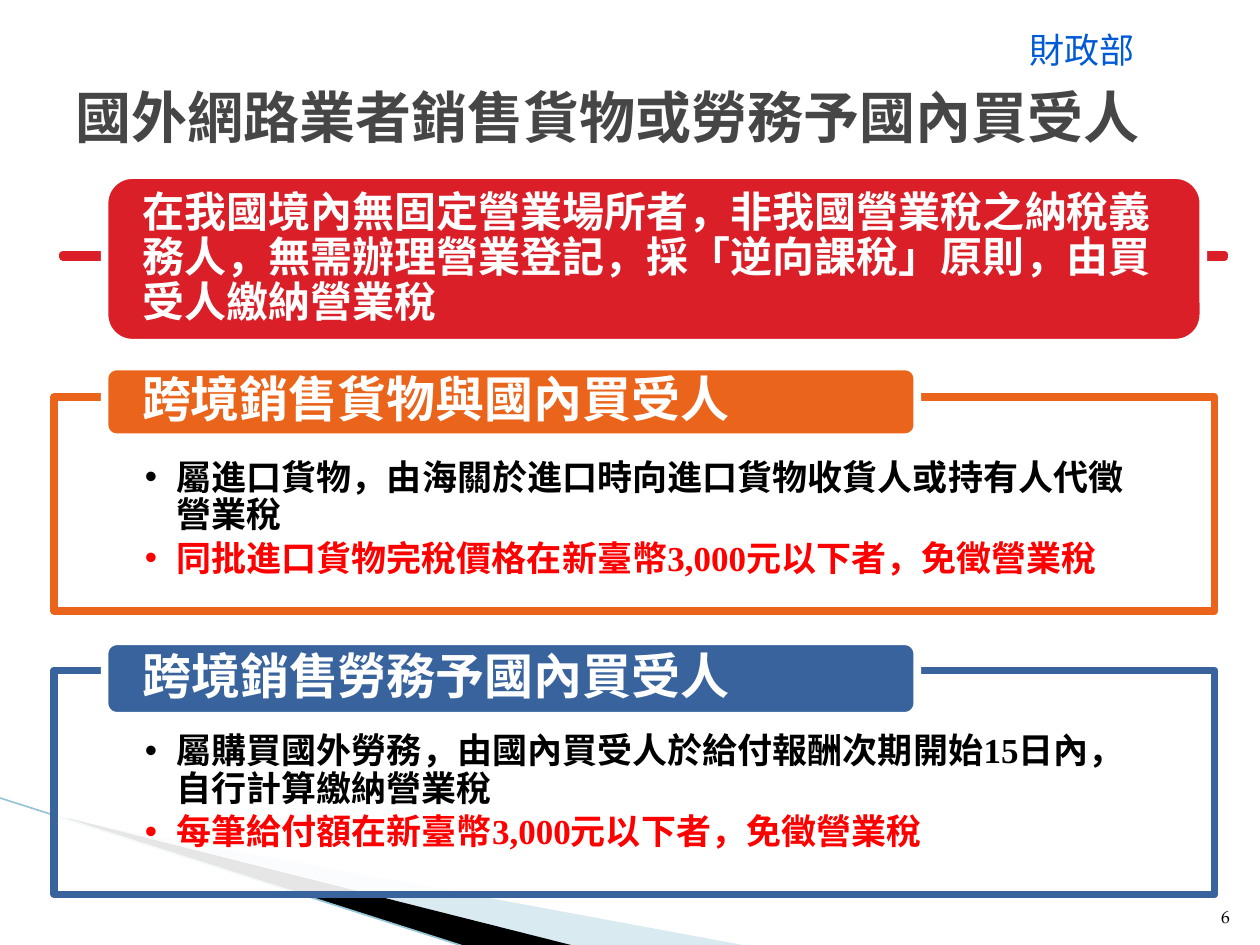
from dataclasses import dataclass
from typing import Any, NamedTuple

import pptx
import pptx.dml.color
import pptx.enum.shapes
import pptx.enum.text
import pptx.oxml.ns
import pptx.util
from lxml import etree

Align = pptx.enum.text.PP_ALIGN
Anchor = pptx.enum.text.MSO_ANCHOR
Preset = pptx.enum.shapes.MSO_SHAPE


@dataclass(frozen=True)
class Theme:
    face: str = "TeX Gyre Pagella"
    numeral_face: str = "Times New Roman"
    white: str = "FFFFFF"
    black: str = "000000"
    title_grey: str = "464646"
    ministry_blue: str = "005AD6"
    red: str = "DA1F28"
    alert: str = "FF0000"
    orange: str = "EB641B"
    blue: str = "39639D"
    pale_wedge: str = "A0CBDC"
    wedge_edge: str = "97C5D8"
    title_size: int = 32
    heading_size: int = 28
    banner_size: int = 24
    body_size: int = 20
    number_size: int = 10
    border: float = 4.33
    hairline: float = 0.95


THEME = Theme()


class Area(NamedTuple):
    """A rectangle on a grid of 100 columns by 75 rows."""
    column: float
    row: float
    columns: float
    rows: float


class Span(NamedTuple):
    text: str
    face: str = THEME.face


class Item(NamedTuple):
    spans: list[Span]
    color: str = THEME.black


class Section(NamedTuple):
    heading: str
    color: str
    frame: Area
    tab: Area
    items: list[Item]


SECTIONS = [
    Section("跨境銷售貨物與國內買受人", THEME.orange,
            Area(4.3, 31.5, 92.1, 17), Area(8.3, 29.1, 64.5, 5.6), [
                Item([Span("屬進口貨物，由海關於進口時向進口貨物收貨人或持有人代徵營業稅")]),
                Item([Span("同批進口貨物完稅價格在新臺幣3,000元以下者，免徵營業稅",
                           THEME.numeral_face)], THEME.alert)]),
    Section("跨境銷售勞務予國內買受人", THEME.blue,
            Area(4.3, 53.2, 92.1, 17.8), Area(8.3, 50.9, 64.5, 5.9), [
                Item([Span("屬購買國外勞務，由國內買受人於給付報酬次期開始"),
                      Span("15", THEME.numeral_face), Span("日內，自行計算繳納營業稅")]),
                Item([Span("每筆給付額在新臺幣3,000元以下者，免徵營業稅",
                           THEME.numeral_face)], THEME.alert)]),
]

deck = pptx.Presentation()
deck.slide_width, deck.slide_height = pptx.util.Inches(10), pptx.util.Inches(7.5)
COLUMN, ROW = deck.slide_width / 100, deck.slide_height / 75


def place(area: Area) -> list[int]:
    return [round(length * unit) for length, unit in zip(area, (COLUMN, ROW) * 2)]


def apply(target: Any, values: dict[str, Any]) -> None:
    for name, value in values.items():
        setattr(target, name, value)


def paint(shape: Any, color: str, opacity: int = 100) -> None:
    shape.fill.solid()
    shape.fill.fore_color.rgb = pptx.dml.color.RGBColor.from_string(color)
    if opacity < 100:
        swatch = shape.fill._xPr.find(".//" + pptx.oxml.ns.qn("a:srgbClr"))
        etree.SubElement(swatch, pptx.oxml.ns.qn("a:alpha"), val=str(opacity * 1000))


def outline(shape: Any, color: str, width: float = THEME.border) -> None:
    shape.line.color.rgb = pptx.dml.color.RGBColor.from_string(color)
    shape.line.width = pptx.util.Pt(width)


def add_span(para: Any, span: Span, size: int, color: str, bold: bool) -> None:
    run = para.add_run()
    run.text = span.text
    apply(run.font, {"name": span.face, "size": pptx.util.Pt(size), "bold": bold})
    run.font.color.rgb = pptx.dml.color.RGBColor.from_string(color)


def set_frame(box: Any, anchor: Any, margins: tuple[float, ...], wrap: bool = True) -> Any:
    """Format the text frame; margins are left, top, right, bottom in columns."""
    sides = ("margin_left", "margin_top", "margin_right", "margin_bottom")
    apply(box.text_frame, {
        "word_wrap": wrap, "auto_size": pptx.enum.text.MSO_AUTO_SIZE.NONE,
        "vertical_anchor": anchor,
        **{side: round(margin * COLUMN) for side, margin in zip(sides, margins)}})
    return box.text_frame


def write_line(box: Any, text: str, size: int, color: str, *, bold: bool = True,
               anchor: Any = Anchor.MIDDLE, align: Any = Align.LEFT, spacing: float = 1.0,
               margins: tuple[float, ...] = (1, 0.5, 1, 0.5), wrap: bool = True) -> None:
    para = set_frame(box, anchor, margins, wrap).paragraphs[0]
    apply(para, {"alignment": align, "line_spacing": spacing})
    add_span(para, Span(text), size, color, bold)


def write_list(box: Any, items: list[Item]) -> None:
    frame = set_frame(box, Anchor.TOP, (7.2, 5, 7.2, 1.6))
    for index, item in enumerate(items):
        para = frame.paragraphs[0] if index == 0 else frame.add_paragraph()
        properties = para._p.get_or_add_pPr()
        indent = round(2.5 * COLUMN)
        apply_indent = {"marL": indent, "indent": -indent}
        for name, value in apply_indent.items():
            properties.set(name, str(value))
        etree.SubElement(properties, pptx.oxml.ns.qn("a:buFont"), typeface="Arial")
        etree.SubElement(properties, pptx.oxml.ns.qn("a:buChar"), char="•")
        apply(para, {"alignment": Align.JUSTIFY, "line_spacing": 0.9,
                     "space_before": pptx.util.Pt(0), "space_after": pptx.util.Pt(3)})
        for span in item.spans:
            add_span(para, span, THEME.body_size, item.color, True)


def add_block(page: Any, preset: Any, area: Area, fill: str, line: str,
              opacity: int = 100) -> Any:
    block = page.shapes.add_shape(preset, *place(area))
    block.shadow.inherit = False
    paint(block, fill, opacity)
    outline(block, line)
    return block


def add_wedge(page: Any, points: list[tuple[float, float]], color: str,
              opacity: int = 100) -> None:
    corners = [(round(x * COLUMN), round(y * ROW)) for x, y in points]
    builder = page.shapes.build_freeform(*corners[0], scale=1.0)
    builder.add_line_segments(corners[1:], close=True)
    wedge = builder.convert_to_shape()
    wedge.shadow.inherit = False
    paint(wedge, color, opacity)
    wedge.line.fill.background()


def add_backdrop(page: Any) -> None:
    add_wedge(page, [(5.5, 65.1), (59.5, 75.1), (45.6, 75.1), (5.5, 65)],
              THEME.pale_wedge, 40)
    add_wedge(page, [(5.3, 64.9), (45.7, 75.1), (37.2, 75.2), (5.4, 65)], THEME.black)
    edge = page.shapes.add_connector(
        pptx.enum.shapes.MSO_CONNECTOR.STRAIGHT,
        round(-0.1 * COLUMN), round(63.3 * ROW), round(37.1 * COLUMN), round(75.2 * ROW))
    outline(edge, THEME.wedge_edge, THEME.hairline)
    etree.SubElement(edge.element.spPr, pptx.oxml.ns.qn("a:effectLst"))


def move_to_front(page: Any, holder: Any, area: Area) -> None:
    apply(holder, dict(zip(("left", "top", "width", "height"), place(area))))
    page.shapes.element.append(holder.element)


def add_section(page: Any, holder: Any, section: Section) -> None:
    move_to_front(page, holder, section.frame)
    paint(holder, THEME.white, 90)
    outline(holder, section.color)
    write_list(holder, section.items)
    tab = add_block(page, Preset.ROUNDED_RECTANGLE, section.tab, section.color, THEME.white)
    write_line(tab, section.heading, THEME.heading_size, THEME.white,
               spacing=0.9, margins=(2.7, 0, 2.7, 0))


def main() -> None:
    page = deck.slides.add_slide(deck.slide_layouts.get_by_name("Two Content"))
    title, *bodies = page.placeholders
    add_backdrop(page)
    ministry = page.shapes.add_textbox(*place(Area(80.7, 1.8, 11, 4.4)))
    write_line(ministry, "財政部", THEME.body_size, THEME.ministry_blue,
               bold=False, anchor=Anchor.TOP, wrap=False)
    number = page.shapes.add_textbox(*place(Area(94.6, 70.1, 4, 4)))
    write_line(number, "6", THEME.number_size, THEME.black, bold=False,
               anchor=Anchor.BOTTOM, align=Align.RIGHT)
    move_to_front(page, title, Area(5, 3, 90, 12.5))
    write_line(title, "國外網路業者銷售貨物或勞務予國內買受人", THEME.title_size, THEME.title_grey)

    add_block(page, Preset.RECTANGLE, Area(5, 20.2, 92.2, 0.2), THEME.white, THEME.red, 90)
    banner = add_block(page, Preset.ROUNDED_RECTANGLE, Area(8.3, 13.9, 87.2, 13.3),
                       THEME.red, THEME.white)
    write_line(banner, "在我國境內無固定營業場所者，非我國營業稅之納稅義務人，無需辦理營業登記，"
               "採「逆向課稅」原則，由買受人繳納營業稅", THEME.banner_size, THEME.white,
               spacing=0.9, margins=(2.4, 0, 2.4, 0))
    for holder, section in zip(bodies, SECTIONS):
        add_section(page, holder, section)
    deck.save("out.pptx")


if __name__ == "__main__":
    main()
